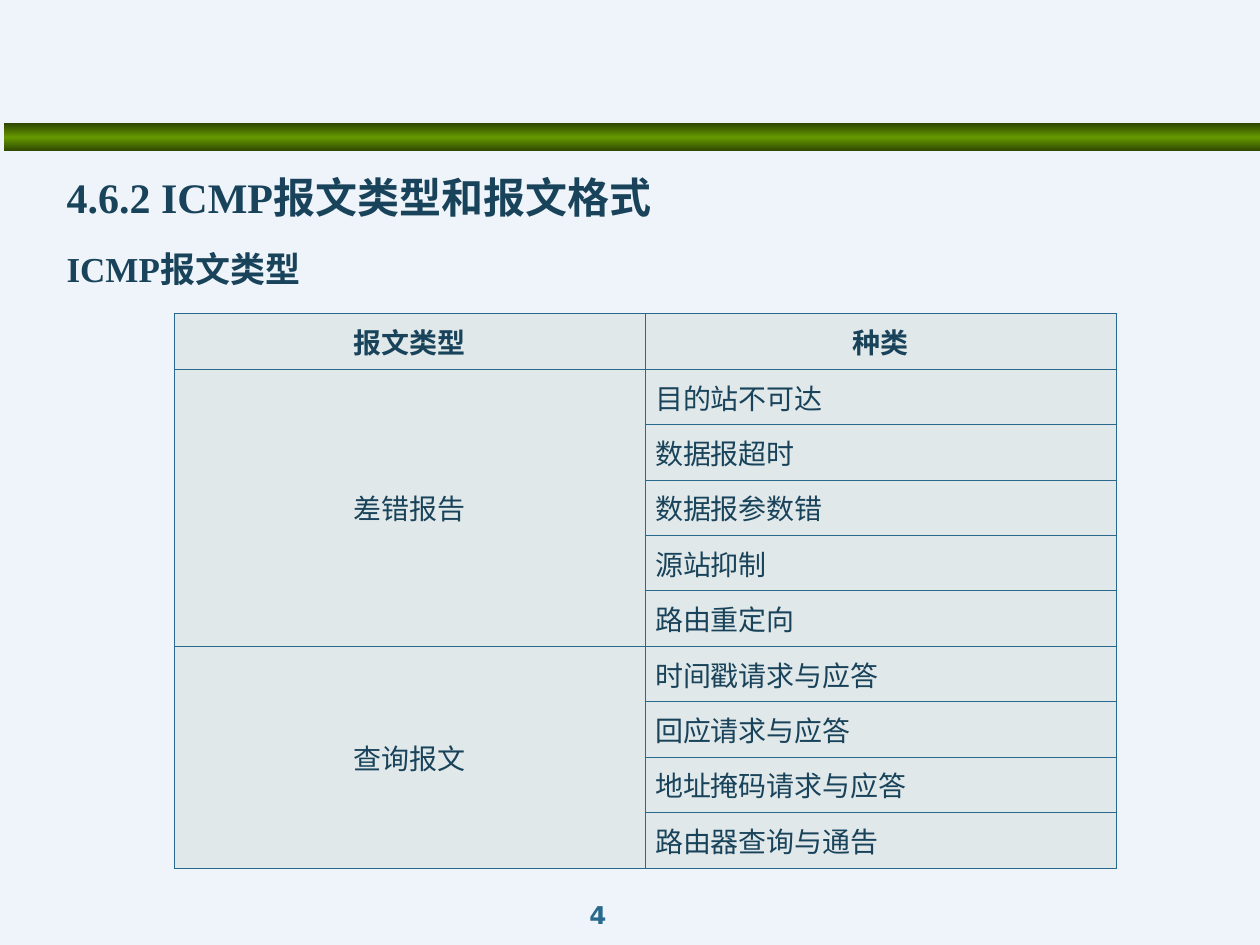
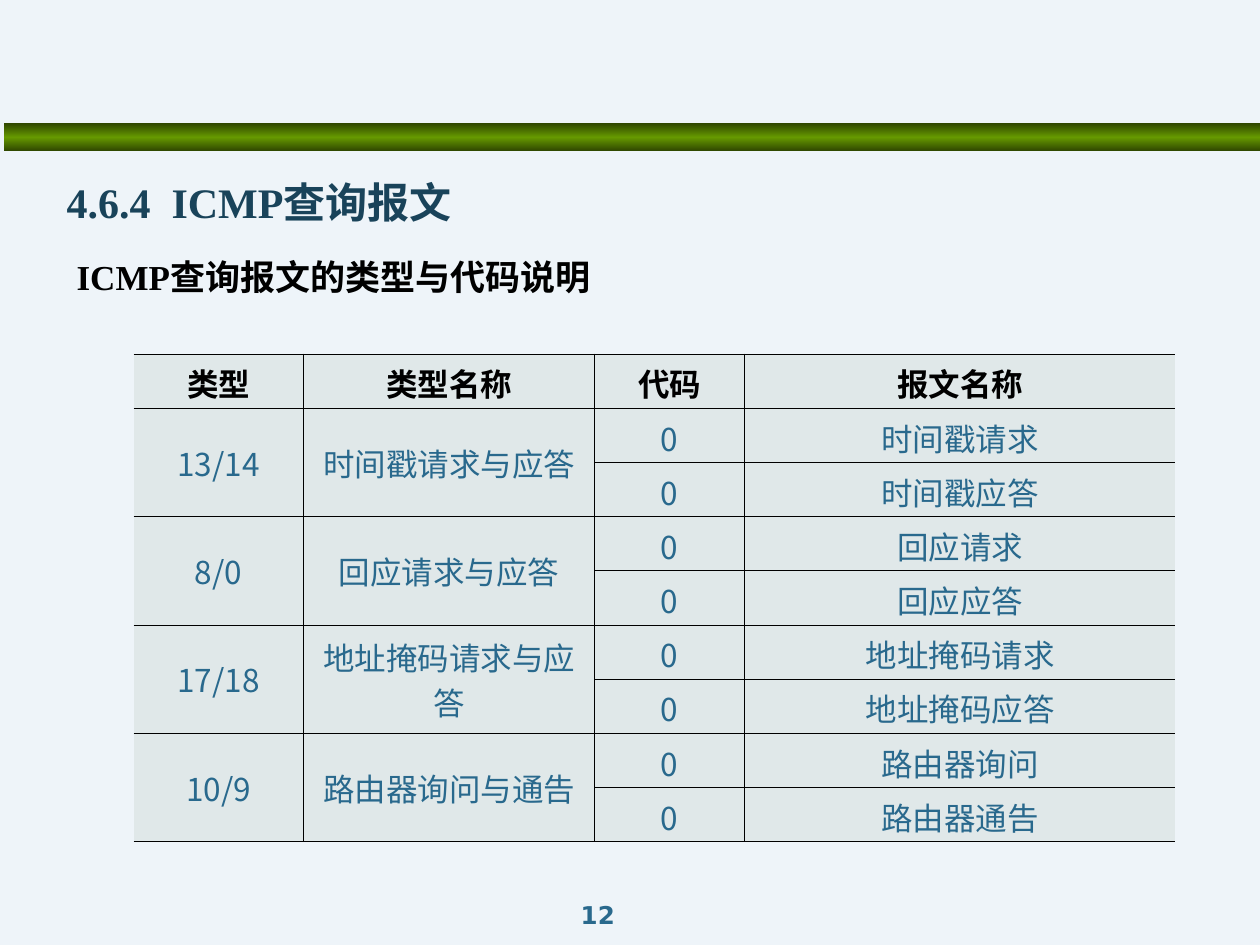
"""Two slides on ICMP message types, each a heading over a merged table."""
from lxml.etree import SubElement
from pptx import Presentation
from pptx.dml.color import RGBColor
from pptx.enum.shapes import MSO_SHAPE as Shape
from pptx.enum.text import MSO_ANCHOR as Anchor, PP_ALIGN as Align
from pptx.oxml.ns import qn
from pptx.util import Inches, Pt

PAPER, CELL = "EEF4F9", "E0E8E9"
NAVY, TEAL, BLACK = "19435A", "29698D", "000000"
BAND_STOPS = [(0, "2F4700"), (50, "669900"), (100, "2F4700")]
SERIF, SANS, CJK, NUMERAL = "Times New Roman", "Calibri", "Noto Sans CJK SC", "DejaVu Sans"
HEADING_LEFT, HEADING_TOP, HEADING_WIDTH = 0.43, 1.15, 9.21

TYPES = {
    "page": "4",
    "headings": [("4.6.2 ICMP报文类型和报文格式", 24, 6), ("ICMP报文类型", 20, 5)],
    "heading_height": 1.18, "spacing": 1.4,
    "caption": None,
    "header": ["报文类型", "种类"],
    "groups": [
        (["差错报告"], [["目的站不可达"], ["数据报超时"], ["数据报参数错"],
                    ["源站抑制"], ["路由重定向"]]),
        (["查询报文"], [["时间戳请求与应答"], ["回应请求与应答"],
                    ["地址掩码请求与应答"], ["路由器查询与通告"]]),
    ],
    "corner": (1.38, 2.49), "columns": [3.74, 3.74], "row": 0.44, "size": 16,
    "header_color": NAVY, "body_color": NAVY, "rule": TEAL,
    "item_align": Align.JUSTIFY, "open_sides": False,
}
QUERIES = {
    "page": "12",
    "headings": [("4.6.4  ICMP查询报文", 24, 6)],
    "heading_height": 0.71, "spacing": 1.5,
    "caption": "ICMP查询报文的类型与代码说明",
    "header": ["类型", "类型名称", "代码", "报文名称"],
    "groups": [
        (["13/14", "时间戳请求与应答"], [["0", "时间戳请求"], ["0", "时间戳应答"]]),
        (["8/0", "回应请求与应答"], [["0", "回应请求"], ["0", "回应应答"]]),
        (["17/18", "地址掩码请求与应答"], [["0", "地址掩码请求"], ["0", "地址掩码应答"]]),
        (["10/9", "路由器询问与通告"], [["0", "路由器询问"], ["0", "路由器通告"]]),
    ],
    "corner": (1.06, 2.81), "columns": [1.35, 2.31, 1.19, 3.42], "row": 0.43, "size": 18,
    "header_color": BLACK, "body_color": TEAL, "rule": BLACK,
    "item_align": Align.CENTER, "open_sides": True,
}


def paint(target, color):
    target.solid()
    target.fore_color.rgb = RGBColor.from_string(color)


def write(paragraph, words, size, font, color, bold=True, align=None):
    paragraph.alignment = align
    run = paragraph.add_run()
    run.text = words
    run.font.size, run.font.name, run.font.bold = Pt(size), font, bold
    paint(run.font.fill, color)
    SubElement(run.font._element, qn("a:ea")).set("typeface", CJK)


def add_frame(slide, left, top, width, height):
    box = slide.shapes.add_textbox(*map(Inches, (left, top, width, height)))
    box.text_frame.word_wrap = True
    return box.text_frame


def add_band(slide):
    band = slide.shapes.add_shape(Shape.RECTANGLE, *map(Inches, (0.03, 0.98, 10, 0.22)))
    band.shadow.inherit = False
    band.line.fill.background()
    band.fill.gradient()
    band.fill.gradient_angle = 90
    stops = band._element.spPr.find(".//" + qn("a:gsLst"))
    stops.clear()
    for share, color in BAND_STOPS:
        stop = SubElement(stops, qn("a:gs"), pos=str(share * 1000))
        SubElement(stop, qn("a:srgbClr"), val=color)


def add_headings(slide, content):
    frame = add_frame(slide, HEADING_LEFT, HEADING_TOP, HEADING_WIDTH,
                      content["heading_height"])
    for index, (words, size, before) in enumerate(content["headings"]):
        heading = frame.add_paragraph() if index else frame.paragraphs[0]
        heading.line_spacing, heading.space_before = content["spacing"], Pt(before)
        indent = heading._p.get_or_add_pPr()
        indent.set("marL", str(Inches(0.38)))
        indent.set("indent", str(-Inches(0.38)))
        write(heading, words, size, SERIF, NAVY)


def rule_cell(cell, color, hidden):
    properties = cell._tc.get_or_add_tcPr()
    for position, side in enumerate("LRTB"):
        line = SubElement(properties, qn("a:ln" + side), w=str(Pt(0.45)))
        if side in hidden:
            SubElement(line, qn("a:noFill"))
        else:
            SubElement(SubElement(line, qn("a:solidFill")), qn("a:srgbClr"), val=color)
        properties.insert(position, line)


def add_grid(slide, content):
    columns, groups = content["columns"], content["groups"]
    count = 1 + sum(len(items) for _, items in groups)
    left, top = content["corner"]
    grid = slide.shapes.add_table(
        count, len(columns), Inches(left), Inches(top),
        Inches(sum(columns)), Inches(count * content["row"])).table
    grid.horz_banding = grid.first_row = False
    for column, width in zip(grid.columns, columns):
        column.width = Inches(width)

    def fill_cell(row, column, words, font, color, bold, align):
        cell = grid.cell(row, column)
        cell.vertical_anchor = Anchor.MIDDLE
        cell.margin_left = cell.margin_right = Inches(0.08)
        write(cell.text_frame.paragraphs[0], words, content["size"], font, color, bold, align)

    for column, words in enumerate(content["header"]):
        fill_cell(0, column, words, SANS, content["header_color"], True, Align.CENTER)
    body = CJK, content["body_color"], False
    first = 1
    for labels, items in groups:
        for column, words in enumerate(labels):
            grid.cell(first, column).merge(grid.cell(first + len(items) - 1, column))
            fill_cell(first, column, words, *body, Align.CENTER)
        for row, item in enumerate(items, first):
            for column, words in enumerate(item, len(labels)):
                fill_cell(row, column, words, *body, content["item_align"])
        first += len(items)

    outer = {0: "L", len(columns) - 1: "R"} if content["open_sides"] else {}
    for row in grid.rows:
        row.height = Inches(content["row"])
        for column, cell in enumerate(row.cells):
            paint(cell.fill, CELL)
            rule_cell(cell, content["rule"], outer.get(column, ""))


def add_slide(deck, content):
    slide = deck.slides.add_slide(deck.slide_layouts[6])
    paint(slide.background.fill, PAPER)
    add_band(slide)
    add_headings(slide, content)
    add_grid(slide, content)
    if content["caption"]:
        caption = add_frame(slide, 0.51, 1.98, 5.04, 0.44)
        write(caption.paragraphs[0], content["caption"], 20, SERIF, BLACK)
    page = add_frame(slide, 3.58, 7.09, 2.33, 0.32)
    write(page.paragraphs[0], content["page"], 14, NUMERAL, TEAL, align=Align.CENTER)


def main():
    deck = Presentation()
    deck.slide_width, deck.slide_height = Inches(10), Inches(7.5)
    for content in (TYPES, QUERIES):
        add_slide(deck, content)
    deck.save("out.pptx")


if __name__ == "__main__":
    main()
